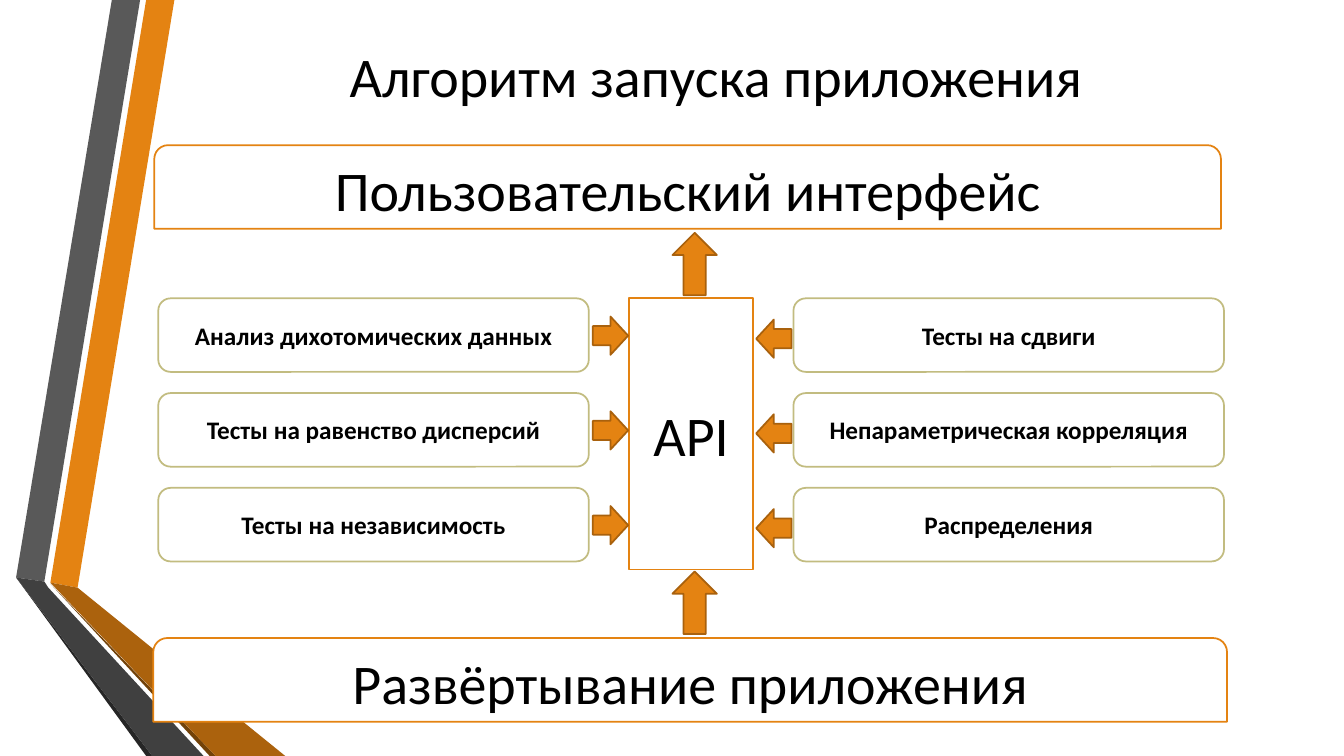
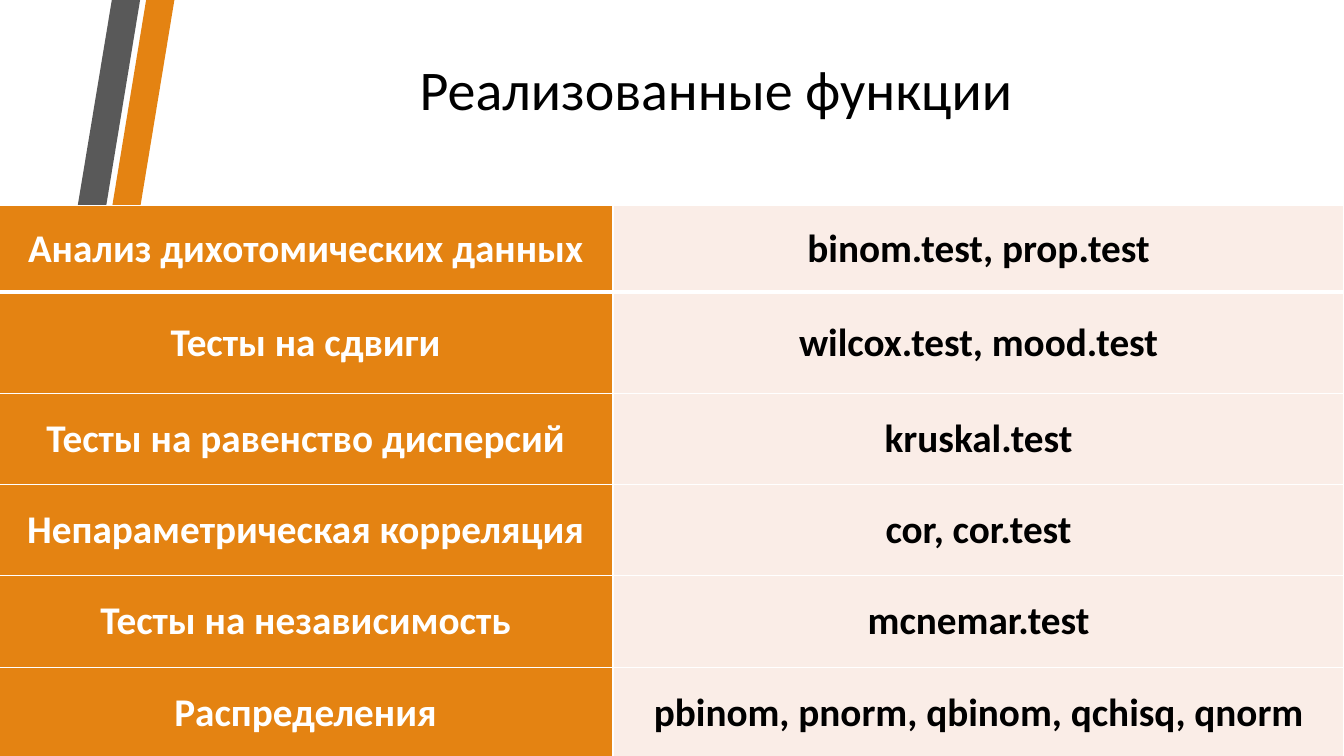
from lxml.etree import SubElement
from pptx import Presentation
from pptx.dml.color import RGBColor
from pptx.enum.shapes import MSO_SHAPE as Shape
from pptx.enum.text import MSO_ANCHOR as Anchor, PP_ALIGN as Align
from pptx.oxml import parse_xml
from pptx.oxml.ns import nsdecls, qn
from pptx.util import Pt

PX = 9144
FONT = "Calibri"
COLORS = {
    "black": "000000",
    "white": "FFFFFF",
    "orange": "E48312",
    "arrow_line": "A9610D",
    "olive": "C2BC80",
    "pale": "FAEDE7",
    "gray": "595959",
    "dark_gray": "404040",
    "darkest_gray": "262626",
    "brown": "AB620D",
    "dark_brown": "724209",
}

BANDS = [
    ("orange", [(50, 578), (77, 583), (173, 0), (145, 0)]),
    ("gray", [(139, 0), (111, 0), (16, 573), (44, 577)]),
    ("darkest_gray", [(16, 573), (145, 750), (151, 750)]),
    ("dark_brown", [(50, 579), (208, 750), (214, 750)]),
    ("brown", [(50, 578), (214, 750), (283, 750), (77, 583)]),
    ("dark_gray", [(202, 750), (48, 583), (44, 577), (16, 573), (151, 750)]),
]

ROW_TOP, ROW_STEP = 296, 94
MODULES = [
    (157, Shape.RIGHT_ARROW, 588, 314, [
        "Анализ дихотомических данных",
        "Тесты на равенство дисперсий",
        "Тесты на независимость",
    ]),
    (787, Shape.LEFT_ARROW, 750, 317, [
        "Тесты на сдвиги",
        "Непараметрическая корреляция",
        "Распределения",
    ]),
]

FUNCTIONS = [
    ("Анализ дихотомических данных", "binom.test, prop.test"),
    ("Тесты на сдвиги", "wilcox.test, mood.test"),
    ("Тесты на равенство дисперсий", "kruskal.test"),
    ("Непараметрическая корреляция", "cor, cor.test"),
    ("Тесты на независимость", "mcnemar.test"),
    ("Распределения", "pbinom, pnorm, qbinom, qchisq, qnorm"),
]
COLUMN_WIDTHS = [610, 725]
ROW_HEIGHTS = [86, 100, 91, 90, 91, 91]


def rgb(name):
    return RGBColor.from_string(COLORS[name])


def px(*lengths):
    return [length * PX for length in lengths]


def write(frame, text, size, color="black", bold=False):
    frame.word_wrap = True
    para = frame.paragraphs[0]
    para.alignment = Align.CENTER
    span = para.add_run()
    span.text = text
    span.font.name = FONT
    span.font.size = Pt(size)
    span.font.bold = bold
    span.font.color.rgb = rgb(color)


def paint(shape, fill, line=None):
    shape.shadow.inherit = False
    shape.fill.solid()
    shape.fill.fore_color.rgb = rgb(fill)
    if line:
        shape.line.color.rgb = rgb(line)
        shape.line.width = Pt(1.25)
    else:
        shape.line.fill.background()


def add_bands(page, layout):
    tree = layout.element.cSld.spTree
    for index, (color, points) in enumerate(BANDS):
        start, *others = points
        builder = page.shapes.build_freeform(*start, scale=PX)
        builder.add_line_segments(others, close=True)
        band = builder.convert_to_shape()
        paint(band, color)
        band.element.nvSpPr.cNvPr.set("id", str(100 + index))
        tree.insert(2 + index, band.element)


def add_title(page, text, top, height):
    title = page.shapes.title
    title.left, title.top, title.width, title.height = px(162, top, 1096, height)
    title.text_frame.vertical_anchor = Anchor.MIDDLE
    write(title.text_frame, text, 40)


def add_box(page, kind, place, text, line="orange", size=40, bold=False):
    box = page.shapes.add_shape(kind, *px(*place))
    paint(box, "white", line)
    box.text_frame.vertical_anchor = Anchor.MIDDLE
    write(box.text_frame, text, size, bold=bold)


def add_arrow(page, kind, *place):
    arrow = page.shapes.add_shape(kind, *px(*place))
    paint(arrow, "orange", "arrow_line")


def set_borders(cell, top, bottom):
    properties = cell._tc.get_or_add_tcPr()
    widths = {"lnL": 1, "lnR": 1, "lnT": top, "lnB": bottom}
    for index, (side, width) in enumerate(widths.items()):
        border = parse_xml(f'<a:{side} {nsdecls("a")} w="{Pt(width)}"/>')
        fill = SubElement(border, qn("a:solidFill"))
        SubElement(fill, qn("a:srgbClr"), val=COLORS["white"])
        properties.insert(index, border)


def fill_cell(cell, text, fill, color):
    cell.fill.solid()
    cell.fill.fore_color.rgb = rgb(fill)
    cell.margin_left = cell.margin_right = cell.margin_top = cell.margin_bottom = 0
    cell.vertical_anchor = Anchor.MIDDLE
    write(cell.text_frame, text, 28, color, bold=True)


def add_function_table(page):
    place = px(-2, 204, sum(COLUMN_WIDTHS), sum(ROW_HEIGHTS))
    table = page.shapes.add_table(len(FUNCTIONS), len(COLUMN_WIDTHS), *place).table
    table.first_row = table.horz_banding = False
    for column, width in zip(table.columns, COLUMN_WIDTHS):
        column.width = width * PX
    for index, (row, height) in enumerate(zip(table.rows, ROW_HEIGHTS)):
        row.height = height * PX
        styles = [("orange", "white"), ("pale", "black")]
        for cell, text, style in zip(row.cells, FUNCTIONS[index], styles):
            fill_cell(cell, text, *style)
            set_borders(cell, 3 if index == 1 else 1, 3 if index == 0 else 1)


def build_algorithm(page):
    add_title(page, "Алгоритм запуска приложения", 17, 115)
    add_box(page, Shape.ROUND_2_SAME_RECTANGLE, (153, 144, 1058, 83),
            "Пользовательский интерфейс")
    add_box(page, Shape.ROUND_2_SAME_RECTANGLE, (152, 633, 1065, 83),
            "Развёртывание приложения")
    add_box(page, Shape.RECTANGLE, (624, 296, 123, 269), "API")
    for box_left, arrow_kind, arrow_left, arrow_top, labels in MODULES:
        for index, label in enumerate(labels):
            shift = index * ROW_STEP
            add_box(page, Shape.ROUNDED_RECTANGLE, (box_left, ROW_TOP + shift, 427, 73),
                    label, "olive", 18, True)
            add_arrow(page, arrow_kind, arrow_left, arrow_top + shift, 35, 38)
    for top in (231, 567):
        add_arrow(page, Shape.UP_ARROW, 667, top, 44, 62)


def build_functions(page):
    add_title(page, "Реализованные функции", 6, 163)
    add_function_table(page)


def main():
    deck = Presentation()
    deck.slide_width, deck.slide_height = px(1333, 750)
    layout = deck.slide_layouts[5]
    pages = [deck.slides.add_slide(layout) for _ in range(2)]
    add_bands(pages[0], layout)
    build_algorithm(pages[0])
    build_functions(pages[1])
    deck.save("out.pptx")


if __name__ == "__main__":
    main()
